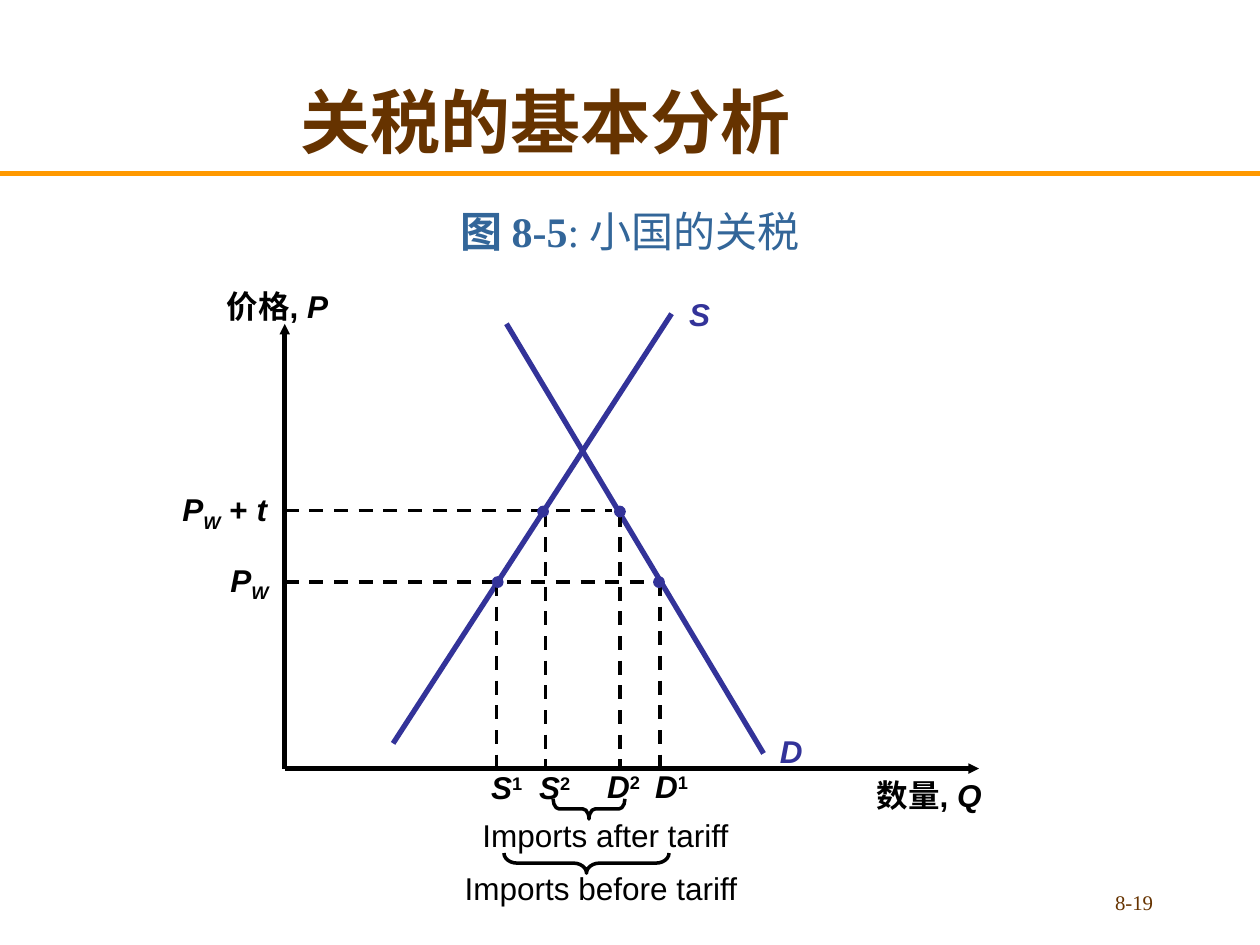
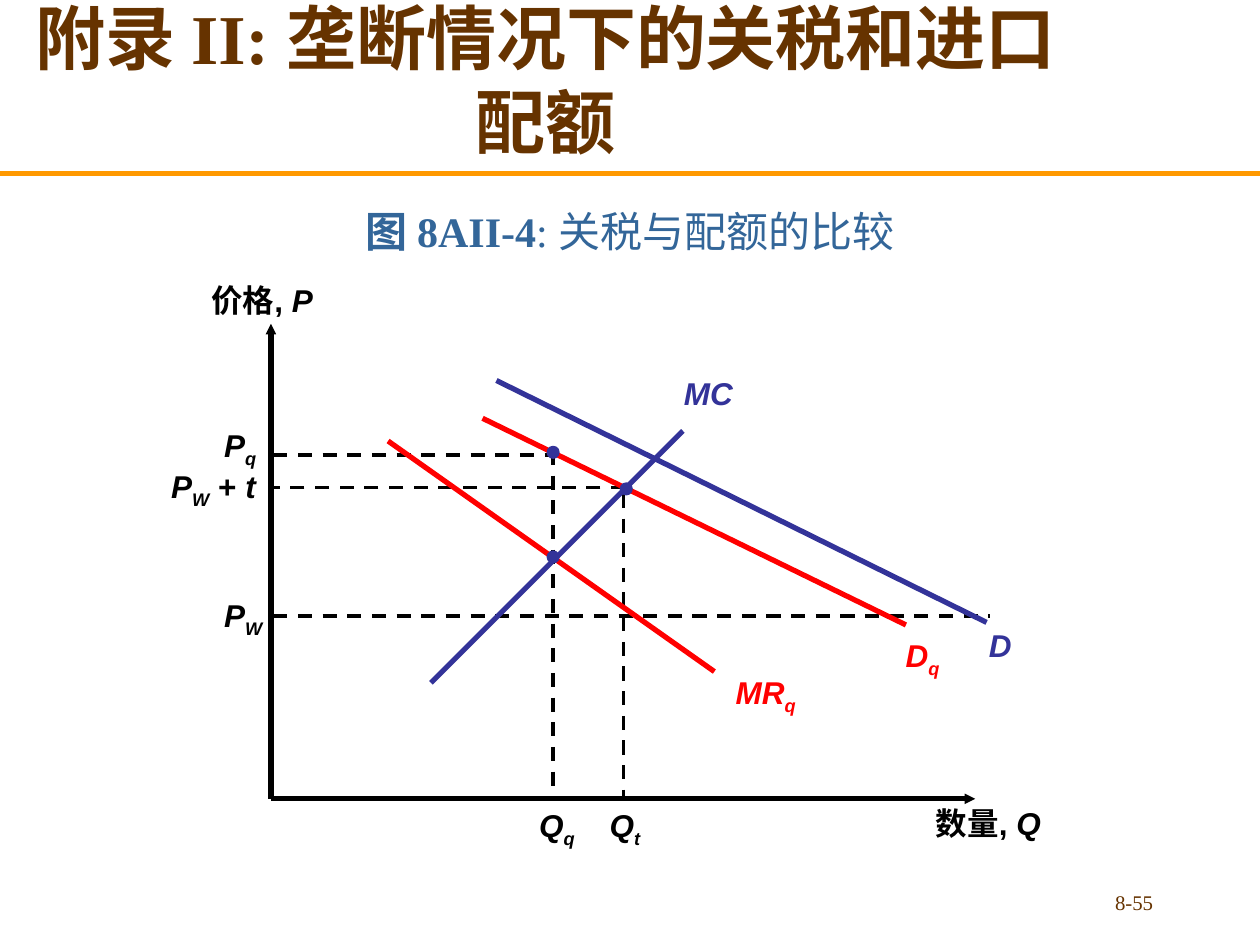
from collections import namedtuple

from lxml import etree
from pptx import Presentation
from pptx.dml.color import RGBColor
from pptx.enum.dml import MSO_LINE_DASH_STYLE as Dash
from pptx.enum.shapes import MSO_CONNECTOR as Connector, MSO_SHAPE as Preset
from pptx.enum.text import MSO_ANCHOR as Anchor, MSO_AUTO_SIZE as AutoSize, PP_ALIGN as Align
from pptx.oxml.ns import qn
from pptx.util import Pt

SCALE = 9144
BROWN = RGBColor(0x66, 0x33, 0x00)
ORANGE = RGBColor(0xFF, 0x99, 0x00)
STEEL = RGBColor(0x33, 0x66, 0x99)
INDIGO = RGBColor(0x33, 0x33, 0x99)
RED = RGBColor(0xFF, 0x00, 0x00)
BLACK = RGBColor(0x00, 0x00, 0x00)
SERIF, SANS, CJK = "Times New Roman", "Arial", "Noto Sans CJK SC"

Box = namedtuple("Box", "left top width height")

P_WORLD = [("P", "bi"), ("W", "bi-")]
P_TARIFF = P_WORLD + [(" + ", "b"), ("t", "bi")]


def px(*lengths):
    return [round(length * SCALE) for length in lengths]


def add_runs(paragraph, runs, size, latin, color):
    for text, style in runs:
        run = paragraph.add_run()
        run.text = text
        font = run.font
        font.size, font.name = Pt(size), latin
        font.bold, font.italic = "b" in style, "i" in style
        font.color.rgb = color
        props = font._element
        etree.SubElement(props, qn("a:ea")).set("typeface", CJK)
        if "-" in style:
            props.set("baseline", "-25000")
        elif "+" in style:
            props.set("baseline", "30000")


def add_text(slide, box, runs, size, latin, color, align=Align.LEFT,
             anchor=Anchor.TOP, wrap=True):
    frame = slide.shapes.add_textbox(*px(*box)).text_frame
    frame.word_wrap = wrap
    frame.vertical_anchor = anchor
    frame.paragraphs[0].alignment = align
    add_runs(frame.paragraphs[0], runs, size, latin, color)


def add_line(slide, start, end, color=BLACK, weight=3, dashed=False, arrow=False):
    connector = slide.shapes.add_connector(Connector.STRAIGHT, *px(*start, *end))
    connector.line.color.rgb = color
    connector.line.width = Pt(weight)
    if dashed:
        connector.line.dash_style = Dash.DASH
    if arrow:
        etree.SubElement(connector.line._get_or_add_ln(), qn("a:tailEnd"),
                         type="triangle", w="sm", len="sm")
    etree.SubElement(connector._element.spPr, qn("a:effectLst"))


class Diagram:
    def __init__(self, slide, box):
        self.slide, self.box = slide, box

    def at(self, point):
        return self.box.left + point[0], self.box.top + point[1]

    def line(self, start, end, **look):
        add_line(self.slide, self.at(start), self.at(end), **look)

    def label(self, runs, left, top, width, color=BLACK):
        add_text(self.slide, Box(*self.at((left, top)), width, 40), runs, 18,
                 SANS, color, wrap=False)

    def axes(self, price_label, quantity_label):
        origin = (0, self.box.height)
        self.line(origin, (0, 0), arrow=True)
        self.line(origin, (self.box.width, self.box.height), arrow=True)
        self.label([("价格, ", "b"), ("P", "bi")], *price_label)
        self.label([("数量, ", "b"), ("Q", "bi")], *quantity_label)

    def curve(self, start, end, name, label_at, color=INDIGO):
        self.line(start, end, color=color)
        self.label(name, *label_at, color)

    def price_guide(self, y, start, end):
        self.line((start, y), (end, y), weight=2, dashed=True)

    def quantity_guide(self, x, top, bottom):
        self.line((x, top), (x, bottom), weight=2, dashed=True)

    def dots(self, centers, size):
        for x, y in centers:
            corner = self.at((x - size / 2, y - size / 2))
            dot = self.slide.shapes.add_shape(Preset.OVAL, *px(*corner, size, size))
            dot.shadow.inherit = False
            dot.fill.solid()
            dot.fill.fore_color.rgb = INDIGO
            dot.line.color.rgb = INDIGO
            dot.line.width = Pt(1)

    def brace(self, left, top, span, depth, bend):
        inset = (span - depth) / 2
        corner = self.at((left + inset, top - inset))
        brace = self.slide.shapes.add_shape(Preset.LEFT_BRACE, *px(*corner, depth, span))
        brace.rotation = 270
        brace.adjustments[0] = bend
        brace.shadow.inherit = False
        brace.fill.background()
        brace.line.color.rgb = BLACK
        brace.line.width = Pt(2)


def frame_slide(prs, title, title_top, figure, caption, number):
    slide = prs.slides.add_slide(prs.slide_layouts[5])
    heading = slide.shapes.title
    heading.left, heading.top, heading.width, heading.height = px(8, title_top, 850, 125)
    frame = heading.text_frame
    frame.auto_size = AutoSize.NONE
    frame.word_wrap = True
    frame.vertical_anchor = Anchor.MIDDLE
    paragraph = frame.paragraphs[0]
    paragraph.alignment = Align.CENTER
    paragraph.line_spacing = Pt(48)
    add_runs(paragraph, [(title, "b")], 40, SERIF, BROWN)

    add_line(slide, (0, 138), (1000, 138), color=ORANGE)
    add_text(slide, Box(0, 141, 1000, 67), [(figure, "b"), (caption, "")], 24,
             SERIF, STEEL, Align.CENTER, Anchor.BOTTOM)
    add_text(slide, Box(717, 701, 208, 33), [(number, "")], 11.9, SERIF, BROWN,
             Align.RIGHT)
    return slide


def draw_small_country_tariff(slide, box):
    diagram = Diagram(slide, box)
    diagram.axes((-56, -34, 120), (460, 354, 120))
    diagram.curve((307, -8), (86, 333), [("S", "bi")], (311, -28, 45))
    diagram.curve((176, 0), (380, 341), [("D", "bi")], (383, 319, 45))
    diagram.label(P_TARIFF, -91, 127, 100)
    diagram.label(P_WORLD, -53, 183, 60)

    for price, end, top, quantities in ((205, 298, 205, (168, 298)),
                                        (148, 260, 150, (207, 266))):
        diagram.price_guide(price, 0, end)
        for quantity in quantities:
            diagram.quantity_guide(quantity, top, box.height)
    diagram.dots([(297, 205), (169, 205), (205, 149), (266, 149)], 8)

    for curve, index, left, top in (("S", "1", 154, 348), ("S", "2", 192, 348),
                                    ("D", "2", 246, 347), ("D", "1", 284, 347)):
        diagram.label([(curve, "bi"), (index, "b+")], left, top, 55)

    diagram.brace(213, 377, 57, 16, 0.3)
    diagram.label([("Imports after tariff", "")], 147, 386, 230)
    diagram.brace(174, 420, 131, 16, 0.65)
    diagram.label([("Imports before tariff", "")], 133, 428, 250)


def draw_tariff_quota_comparison(slide, box):
    diagram = Diagram(slide, box)
    diagram.axes((-57, -39, 120), (518, 376, 158))
    diagram.price_guide(232, 2, 571)
    diagram.price_guide(130, 281, -2)
    diagram.price_guide(104, 2, 226)
    diagram.quantity_guide(280, 135, 376)
    diagram.quantity_guide(224, 101, 376)

    diagram.curve((327, 85), (127, 285), [("MC", "bi")], (318, 35, 70))
    diagram.curve((93, 93), (352, 276), [("MR", "bi"), ("q", "bi-")], (359, 272, 80), RED)
    diagram.curve((168, 75), (504, 239), [("D", "bi"), ("q", "bi-")], (494, 243, 60), RED)
    diagram.curve((179, 45), (568, 237), [("D", "bi")], (560, 235, 45))
    diagram.dots([(282, 131), (224, 102), (224, 185)], 9)

    diagram.label([("P", "bi"), ("q", "bi-")], -47, 76, 60)
    diagram.label(P_TARIFF, -89, 109, 100)
    diagram.label(P_WORLD, -47, 211, 60)
    for index, left in (("q", 203), ("t", 259)):
        diagram.label([("Q", "bi"), (index, "bi-")], left, 378, 56)


def main():
    prs = Presentation()
    prs.slide_width, prs.slide_height = px(1000, 750)
    tariff = frame_slide(prs, "关税的基本分析", 33, "图 8-5", ": 小国的关税", "8-19")
    draw_small_country_tariff(tariff, Box(226, 257, 551, 353))
    quota = frame_slide(prs, "附录 II: 垄断情况下的关税和进口配额", 0,
                        "图 8AII-4", ": 关税与配额的比较", "8-55")
    draw_tariff_quota_comparison(quota, Box(215, 257, 559, 377))
    prs.save("out.pptx")


if __name__ == "__main__":
    main()
